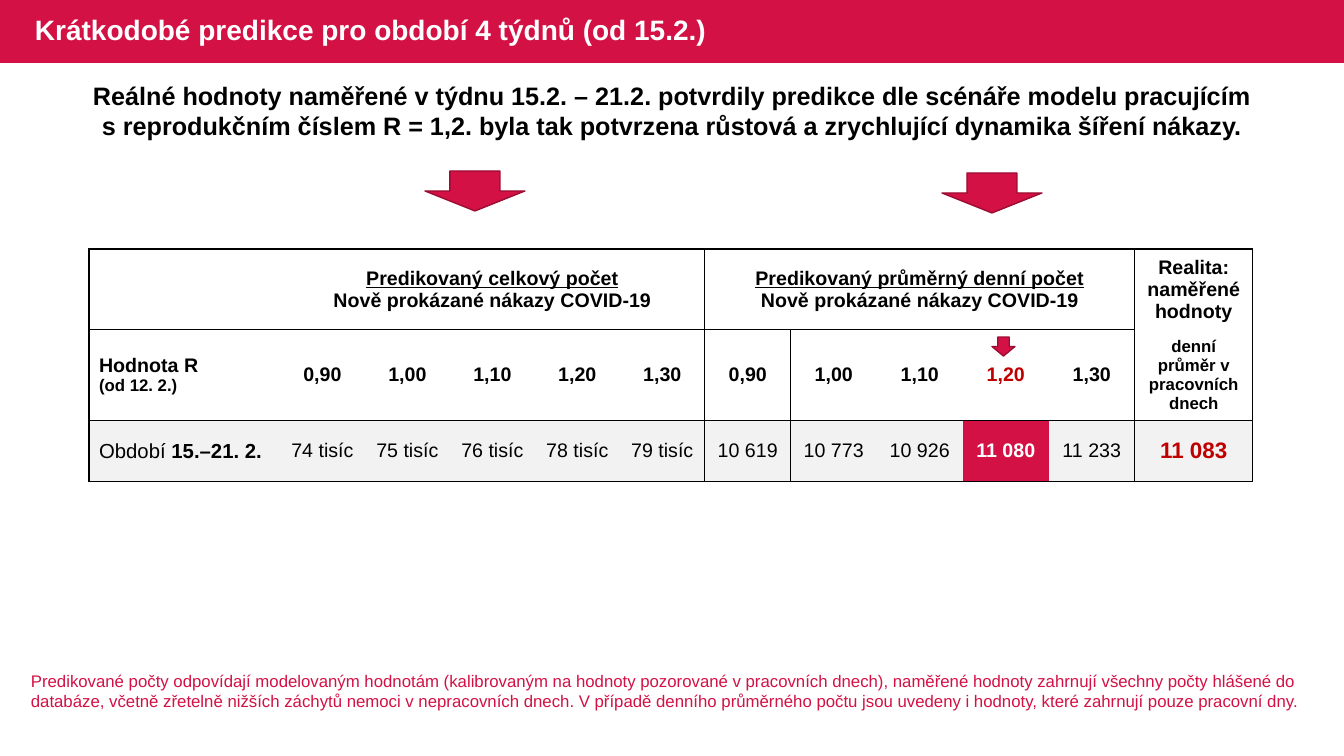
import pptx
import pptx.dml.color
import pptx.enum.shapes
import pptx.enum.text
import pptx.oxml
import pptx.oxml.ns
import pptx.util

PX = 12192000 / 1344
CRIMSON, RED, BLACK, WHITE, GREY = "D31145", "C00000", "000000", "FFFFFF", "F2F2F2"
ALIGN = pptx.enum.text.PP_ALIGN
MIDDLE = pptx.enum.text.MSO_ANCHOR.MIDDLE
SHAPE = pptx.enum.shapes.MSO_SHAPE

COLUMNS = [191] + [85] * 5 + [86] * 5 + [118]
ROWS = [76, 86, 61]
R_VALUES = ["0,90", "1,00", "1,10", "1,20", "1,30"]
TOTALS = ["74 tisíc", "75 tisíc", "76 tisíc", "78 tisíc", "79 tisíc"]
DAILY = ["10 619", "10 773", "10 926", "11 080", "11 233"]
FIRST_DAILY, CONFIRMED, REALITY = 6, 9, 11


def px(length):
    return pptx.util.Emu(round(length * PX))


def color(value):
    return pptx.dml.color.RGBColor.from_string(value)


def write(frame, *paras, size=14, ink=BLACK, bold=False, align=ALIGN.CENTER, spacing=None):
    """Each paragraph is a string or a list of (text, format) spans."""
    frame.word_wrap = True
    for index, spans in enumerate(paras):
        para = frame.paragraphs[0] if index == 0 else frame.add_paragraph()
        para.alignment = align
        if spacing:
            para.line_spacing = spacing
        for text, extra in [(spans, {})] if isinstance(spans, str) else spans:
            span = para.add_run()
            span.text = text
            font = span.font
            font.name = "Arial"
            font.size = pptx.util.Pt(extra.get("size", size))
            font.bold = extra.get("bold", bold)
            font.underline = extra.get("underline", False)
            font.color.rgb = color(ink)


def add_text(page, box, *paras, anchor=None, **style):
    frame = page.shapes.add_textbox(*map(px, box)).text_frame
    if anchor is not None:
        frame.vertical_anchor = anchor
    write(frame, *paras, **style)


def add_block(page, kind, box, outline=None):
    block = page.shapes.add_shape(kind, *map(px, box))
    block.shadow.inherit = False
    block.fill.solid()
    block.fill.fore_color.rgb = color(CRIMSON)
    if outline:
        block.line.color.rgb = color(outline)
        block.line.width = pptx.util.Pt(1)
    else:
        block.line.fill.background()


def add_header(page, box):
    left, top, width, height = box
    add_block(page, SHAPE.RECTANGLE, box)
    add_text(page, (left + 25, top, 747, height),
             "Krátkodobé predikce pro období 4 týdnů (od 15.2.)",
             size=20, ink=WHITE, bold=True, align=ALIGN.LEFT, spacing=0.9, anchor=MIDDLE)


def set_borders(cell, **sides):
    properties = cell._tc.get_or_add_tcPr()
    for position, side in enumerate("LRTB"):
        paint = f'<a:solidFill><a:srgbClr val="{BLACK}"/></a:solidFill>' if sides[side] else "<a:noFill/>"
        properties.insert(position, pptx.oxml.parse_xml(
            f'<a:ln{side} {pptx.oxml.ns.nsdecls("a")} w="12700">{paint}</a:ln{side}>'))


def has_vertical(row, edge):
    return edge in (0, FIRST_DAILY, REALITY, REALITY + 1) or (edge == FIRST_DAILY + 1 and row > 0)


def has_horizontal(column, edge):
    return not (column == REALITY and edge == 1)


def style_cells(table):
    for row in range(len(ROWS)):
        for column in range(len(COLUMNS)):
            cell = table.cell(row, column)
            cell.vertical_anchor = MIDDLE
            if row == 2:
                cell.fill.solid()
                cell.fill.fore_color.rgb = color(CRIMSON if column == CONFIRMED else GREY)
            else:
                cell.fill.background()
            if row and 0 < column < REALITY:
                cell.margin_left = cell.margin_right = cell.margin_top = cell.margin_bottom = 0
            span = cell.span_width if cell.is_merge_origin else 1
            set_borders(cell, L=has_vertical(row, column), R=has_vertical(row, column + span),
                        T=has_horizontal(column, row), B=has_horizontal(column, row + 1))


def add_predictions(page, left, top):
    box = (left, top, sum(COLUMNS), sum(ROWS))
    table = page.shapes.add_table(len(ROWS), len(COLUMNS), *map(px, box)).table
    table.first_row = table.horz_banding = False
    for column, width in zip(table.columns, COLUMNS):
        column.width = px(width)
    for row, height in zip(table.rows, ROWS):
        row.height = px(height)

    # Group headings
    for first, heading in ((1, "Predikovaný celkový počet"),
                           (FIRST_DAILY, "Predikovaný průměrný denní počet")):
        table.cell(0, first).merge(table.cell(0, first + 4))
        write(table.cell(0, first).text_frame, [(heading, {"underline": True})],
              "Nově prokázané nákazy COVID-19", bold=True)
    style_cells(table)

    # Row labels
    write(table.cell(1, 0).text_frame, "Hodnota R", [("(od 12. 2.)", {"size": 12})],
          bold=True, align=ALIGN.LEFT)
    write(table.cell(2, 0).text_frame, [("Období ", {}), ("15.–21. 2.", {"bold": True})],
          size=14.5, align=ALIGN.LEFT)

    # Reproduction numbers and predicted counts
    for column, (number, count) in enumerate(zip(R_VALUES * 2, TOTALS + DAILY), start=1):
        confirmed = column == CONFIRMED
        write(table.cell(1, column).text_frame, number, ink=RED if confirmed else BLACK, bold=True)
        write(table.cell(2, column).text_frame, count,
              ink=WHITE if confirmed else BLACK, bold=confirmed)

    # Measured values
    write(table.cell(0, REALITY).text_frame, "Realita: naměřené", "hodnoty", bold=True)
    write(table.cell(1, REALITY).text_frame, "denní průměr v pracovních dnech", size=12, bold=True)
    write(table.cell(2, REALITY).text_frame, "11 083", size=16, ink=RED, bold=True)


def add_arrows(page, *boxes):
    for box in boxes:
        add_block(page, SHAPE.DOWN_ARROW, box, outline="9C0D33")


def main():
    deck = pptx.Presentation()
    deck.slide_width, deck.slide_height = px(1344), px(756)
    page = deck.slides.add_slide(deck.slide_layouts[6])

    add_header(page, (0, 0, 1344, 63))
    add_predictions(page, 89, 249)
    # Key message
    add_text(page, (79, 75, 1186, 71),
             "Reálné hodnoty naměřené v týdnu 15.2. – 21.2. potvrdily predikce dle scénáře modelu "
             "pracujícím s reprodukčním číslem R = 1,2. byla tak potvrzena růstová a zrychlující "
             "dynamika šíření nákazy.", size=18, bold=True)
    # Footnote
    add_text(page, (21, 666, 1293, 50),
             "Predikované počty odpovídají modelovaným hodnotám (kalibrovaným na hodnoty pozorované "
             "v pracovních dnech), naměřené hodnoty zahrnují všechny počty hlášené do databáze, "
             "včetně zřetelně nižších záchytů nemoci v nepracovních dnech. V případě denního "
             "průměrného počtu jsou uvedeny i hodnoty, které zahrnují pouze pracovní dny.",
             size=12, ink=CRIMSON, align=ALIGN.LEFT)
    add_arrows(page, (425, 171, 100, 40), (942, 173, 100, 40), (992, 337, 23, 19))
    deck.save("out.pptx")


if __name__ == "__main__":
    main()
